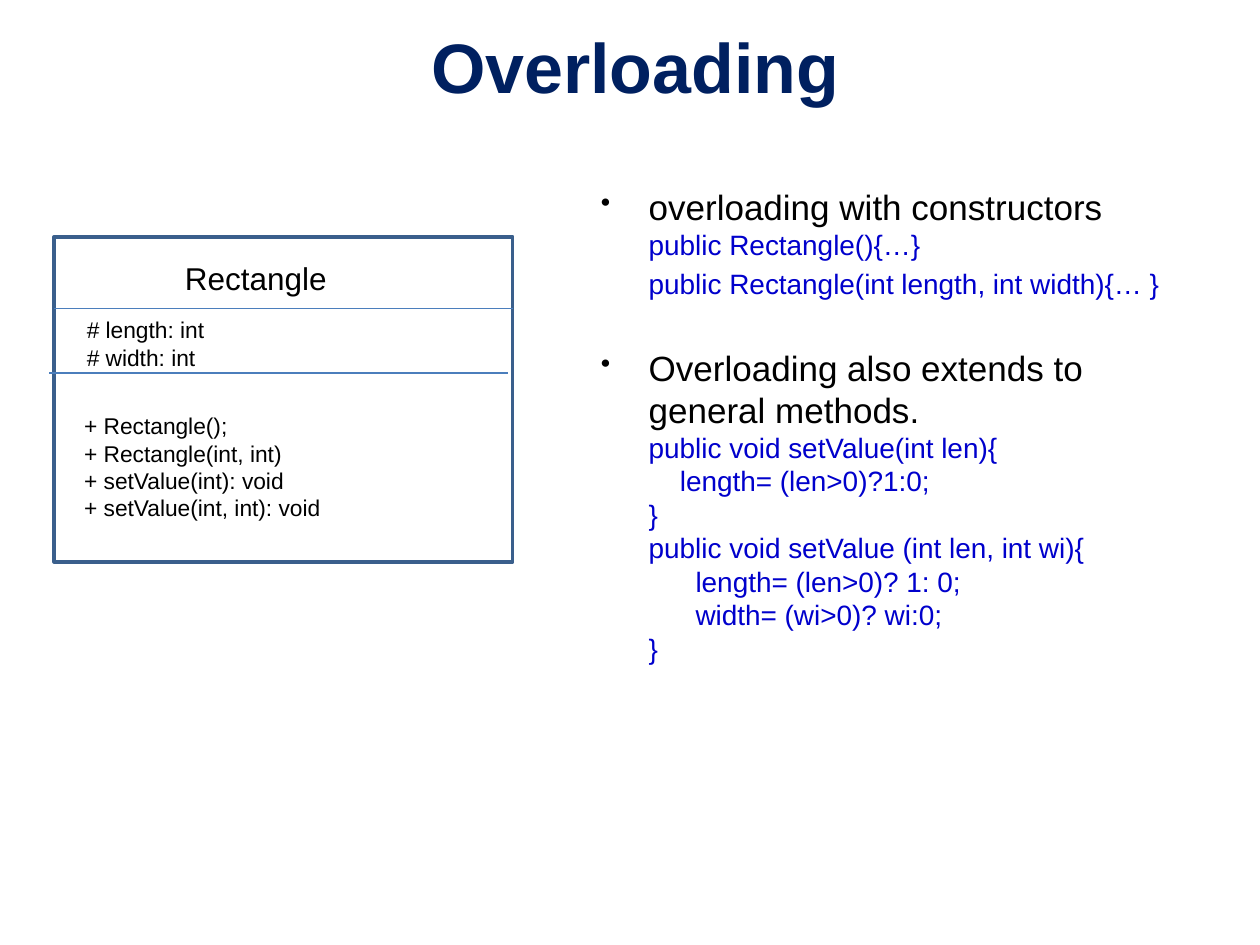
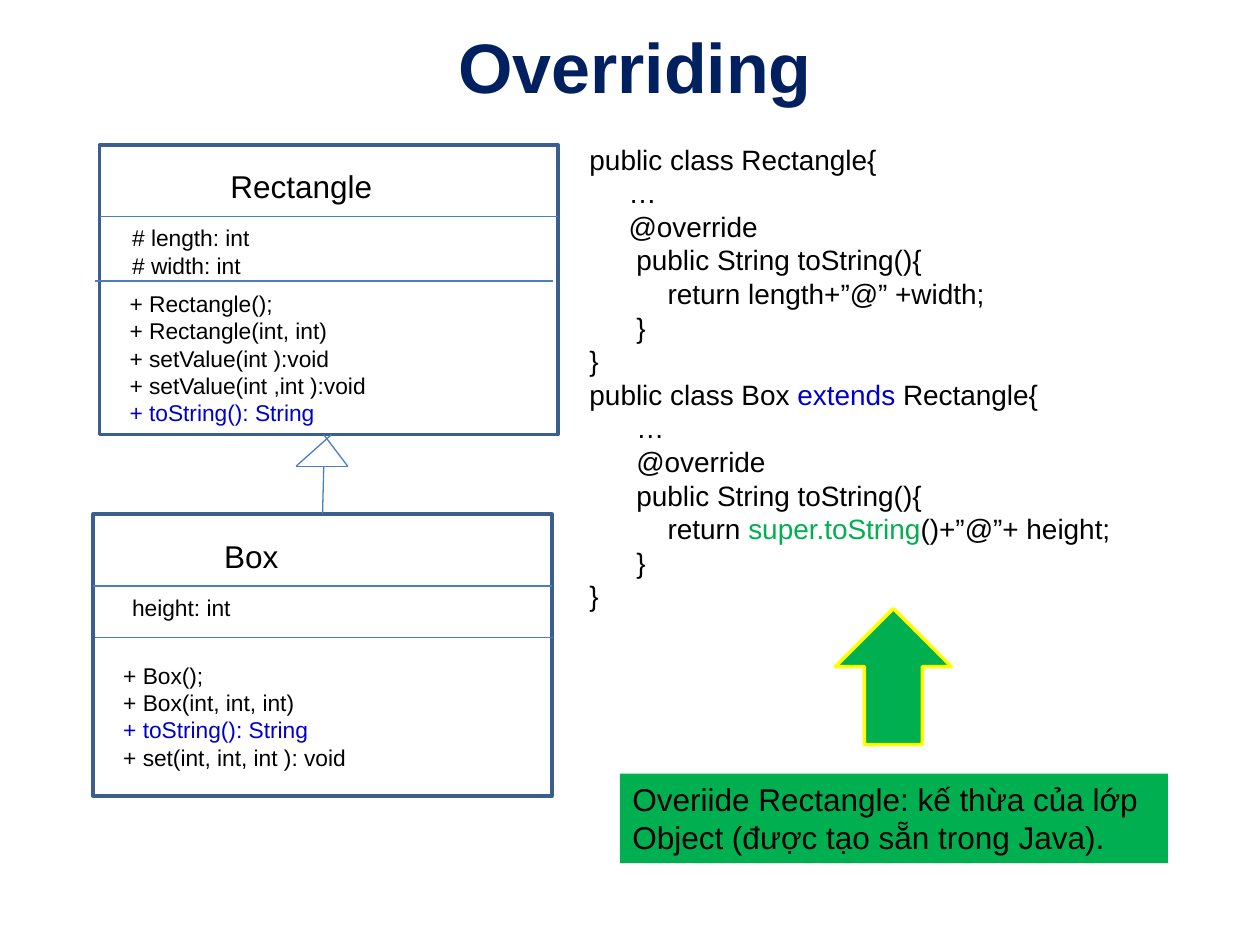
import dataclasses

import pptx
import pptx.dml.color
import pptx.enum.shapes
import pptx.enum.text
import pptx.oxml
import pptx.oxml.ns
import pptx.util
from lxml import etree

Inches = pptx.util.Inches
Pt = pptx.util.Pt
RGBColor = pptx.dml.color.RGBColor
SHAPE = pptx.enum.shapes.MSO_SHAPE
ANCHOR = pptx.enum.text.MSO_ANCHOR
ALIGN = pptx.enum.text.PP_ALIGN
qn = pptx.oxml.ns.qn

NAVY = RGBColor(0x00, 0x20, 0x60)
BLACK = RGBColor(0x00, 0x00, 0x00)
CODE_BLUE = RGBColor(0x00, 0x00, 0xCC)
GREEN = RGBColor(0x00, 0xB0, 0x50)
YELLOW = RGBColor(0xFF, 0xFF, 0x00)
OUTLINE = RGBColor(0x3A, 0x5F, 0x8C)
RULE = RGBColor(0x4B, 0x7E, 0xBC)

FONT = "Arial"
HEADING_SIZE, BULLET_SIZE, LABEL_SIZE, CODE_SIZE, MEMBER_SIZE = 40, 20, 18, 16, 13
CODE_STEP = 0.062  # width of one code column, in inches
BULLET_INDENT = 0.38
CLASS_WIDTH = 3.64


@dataclasses.dataclass
class ClassDiagram:
    """One UML class: its place, text and the offsets of its compartments."""
    left: float
    top: float
    height: float
    name: str
    name_width: float
    attributes: list
    methods: list
    attributes_width: float
    methods_width: float
    methods_top: float
    attributes_left: float = 0.16
    divider: tuple = (-0.04, 1.08)
    wrap_methods: bool = True


def write_lines(frame, lines, size, color=BLACK, columns=None, margin=0):
    """Append lines, each a string or a list of (text, colour) parts."""
    paragraphs = []
    for number, line in enumerate(lines):
        blank = len(frame.paragraphs) == 1 and not frame.paragraphs[0].runs
        paragraph = frame.paragraphs[0] if blank else frame.add_paragraph()
        parts = [(line, color)] if isinstance(line, str) else line
        for text, part_color in parts:
            run = paragraph.add_run()
            run.text = text
            run.font.name = FONT
            run.font.size = Pt(size)
            run.font.color.rgb = part_color
        indent = margin + (columns[number] * CODE_STEP if columns else 0)
        if indent:
            paragraph._p.get_or_add_pPr().set("marL", str(Inches(indent)))
        paragraphs.append(paragraph)
    return paragraphs


def add_text(shapes, left, top, width, height, lines=(), size=CODE_SIZE,
             wrap=True, columns=None):
    """Add a text box and return its frame."""
    box = shapes.add_textbox(Inches(left), Inches(top), Inches(width), Inches(height))
    frame = box.text_frame
    frame.word_wrap = wrap
    write_lines(frame, lines, size, columns=columns)
    return frame


def add_heading(slide, text):
    """Add the centred slide heading."""
    frame = add_text(slide.shapes, 0.54, 0.13, 9, 0.78, [text], HEADING_SIZE)
    frame.vertical_anchor = ANCHOR.MIDDLE
    frame.paragraphs[0].alignment = ALIGN.CENTER
    frame.paragraphs[0].runs[0].font.bold = True
    frame.paragraphs[0].runs[0].font.color.rgb = NAVY


def add_rule(shapes, start, end):
    """Draw a thin line without shadow between two points."""
    rule = shapes.add_connector(pptx.enum.shapes.MSO_CONNECTOR.STRAIGHT,
                                *(Inches(value) for value in (*start, *end)))
    rule.line.color.rgb = RULE
    rule.line.width = Pt(0.75)
    etree.SubElement(rule._element.spPr, qn("a:effectLst"))


def add_block(shapes, preset, left, top, width, height, fill=None, outline=None):
    """Add a preset shape with an optional fill and outline."""
    block = shapes.add_shape(preset, Inches(left), Inches(top),
                             Inches(width), Inches(height))
    block.shadow.inherit = False
    if fill is None:
        block.fill.background()
    else:
        block.fill.solid()
        block.fill.fore_color.rgb = fill
    if outline is None:
        block.line.fill.background()
    else:
        block.line.color.rgb = outline
        block.line.width = Pt(2)
    return block


def add_class(shapes, diagram):
    """Draw a class box with name, attribute and method compartments."""
    left, top = diagram.left, diagram.top
    add_block(shapes, SHAPE.RECTANGLE, left, top, CLASS_WIDTH, diagram.height,
              outline=OUTLINE)
    for dx, dy in ((0, 0.57), diagram.divider):
        add_rule(shapes, (left + dx, top + dy), (left + dx + CLASS_WIDTH, top + dy))
    add_text(shapes, left + 0.94, top + 0.13, diagram.name_width, 0.4,
             [diagram.name], LABEL_SIZE, wrap=False)
    add_text(shapes, left + diagram.attributes_left, top + 0.58,
             diagram.attributes_width, 0.1 + 0.22 * len(diagram.attributes),
             diagram.attributes, MEMBER_SIZE, wrap=False)
    add_text(shapes, left + 0.14, top + diagram.methods_top,
             diagram.methods_width, 0.1 + 0.22 * len(diagram.methods),
             diagram.methods, MEMBER_SIZE, wrap=diagram.wrap_methods)


def add_inheritance(shapes, left, top):
    """Draw the hollow arrow that leads from the subclass up to its parent."""
    right, base = left + 0.41, top + 0.25
    add_rule(shapes, (left + 0.21, top + 0.63), (left + 0.22, base))
    add_rule(shapes, (left + 0.22, top), (right, base))
    add_rule(shapes, (left + 0.28, top), (left, base))
    add_rule(shapes, (left, base), (right, base))


def add_bullet(frame, text, space_before=0):
    """Append a bulleted line with a hanging indent."""
    paragraph = write_lines(frame, [text], BULLET_SIZE, margin=BULLET_INDENT)[0]
    properties = paragraph._p.get_or_add_pPr()
    properties.set("indent", str(-Inches(BULLET_INDENT)))
    color = etree.SubElement(properties, qn("a:buClr"))
    etree.SubElement(color, qn("a:srgbClr")).set("val", str(BLACK))
    etree.SubElement(properties, qn("a:buSzPct")).set("val", "80000")
    etree.SubElement(properties, qn("a:buChar")).set("char", "•")
    paragraph.space_before = Pt(space_before)


def add_overloading_notes(shapes, left, top):
    """Write the two bullets and their code samples."""
    frame = add_text(shapes, left, top, 4.83, 4.17)
    add_bullet(frame, "overloading with constructors")
    constructors = write_lines(
        frame,
        ["public Rectangle(){…}", "public Rectangle(int length, int width){… }"],
        CODE_SIZE, CODE_BLUE, margin=BULLET_INDENT)
    constructors[1].space_before = Pt(3.2)
    add_bullet(frame, "Overloading also extends to general methods.", 26.4)
    write_lines(
        frame,
        ["public void setValue(int len){", "length= (len>0)?1:0;", "}",
         "public void setValue (int len, int wi){", "length= (len>0)? 1: 0;",
         "width= (wi>0)? wi:0;", "}"],
        CODE_SIZE, CODE_BLUE, columns=[0, 4, 0, 0, 6, 6, 0], margin=BULLET_INDENT)


def add_overriding_code(shapes, left, top):
    """Write the source of the two classes."""
    lines = [
        "public class Rectangle{", "…", "@override", "public String toString(){",
        "return length+”@” +width;", "}", "}",
        [("public class Box ", BLACK), ("extends", CODE_BLUE), (" Rectangle{", BLACK)],
        "…", "@override", "public String toString(){",
        [("return ", BLACK), ("super.toString", GREEN), ("()+”@”+ height;", BLACK)],
        "}", "}"]
    add_text(shapes, left, top, 5.25, 3.87, lines,
             columns=[0, 5, 5, 6, 10, 6, 0, 0, 6, 6, 6, 10, 6, 0])


def add_callout(shapes, left, top):
    """Place the green remark and the arrow that points up from it."""
    remark = add_block(shapes, SHAPE.RECTANGLE, left, top + 1.31, 4.35, 0.71, GREEN)
    frame = remark.text_frame
    frame.word_wrap = True
    frame.vertical_anchor = ANCHOR.TOP
    text = "Overiide Rectangle: kế thừa của lớp Object (được tạo sẵn trong Java)."
    write_lines(frame, [text], LABEL_SIZE)[0].alignment = ALIGN.LEFT
    arrow = add_block(shapes, SHAPE.DOWN_ARROW, left + 1.71, top, 0.92, 1.08,
                      GREEN, YELLOW)
    arrow.rotation = 180


def build_overloading(slide):
    """Build the slide on overloading."""
    add_heading(slide, "Overloading")
    add_overloading_notes(slide.shapes, 4.67, 1.42)
    add_class(slide.shapes, ClassDiagram(
        0.43, 1.88, 2.58, "Rectangle", 1.34, RECTANGLE_ATTRIBUTES,
        ["+ Rectangle();", "+ Rectangle(int, int)", "+ setValue(int): void",
         "+ setValue(int, int): void"],
        1.15, 2.1, methods_top=1.34, wrap_methods=False))


def build_overriding(slide):
    """Build the slide on overriding."""
    add_heading(slide, "Overriding")
    hierarchy = slide.shapes.add_group_shape().shapes
    add_class(hierarchy, ClassDiagram(
        0.74, 4.08, 2.24, "Box", 0.64, ["height: int"],
        ["+ Box();", "+ Box(int, int, int)", TO_STRING, "+ set(int, int, int ): void"],
        1.05, 3.34, methods_top=1.12, attributes_left=0.21, divider=(0.01, 0.98)))
    add_class(hierarchy, ClassDiagram(
        0.79, 1.15, 2.3, "Rectangle", 1.34, RECTANGLE_ATTRIBUTES,
        ["+ Rectangle();", "+ Rectangle(int, int)", "+ setValue(int ):void",
         "+ setValue(int ,int ):void", TO_STRING],
        1.15, 3.19, methods_top=1.1))
    add_inheritance(hierarchy, 2.35, 3.45)
    add_overriding_code(slide.shapes, 4.58, 1.08)
    add_callout(slide.shapes, 4.92, 4.83)


RECTANGLE_ATTRIBUTES = ["# length: int", "# width: int"]
TO_STRING = [("+ toString(): String", CODE_BLUE)]

deck = pptx.Presentation()
deck.slide_width, deck.slide_height = Inches(10), Inches(7.5)
for build in (build_overloading, build_overriding):
    build(deck.slides.add_slide(deck.slide_layouts[6]))
deck.save("out.pptx")
